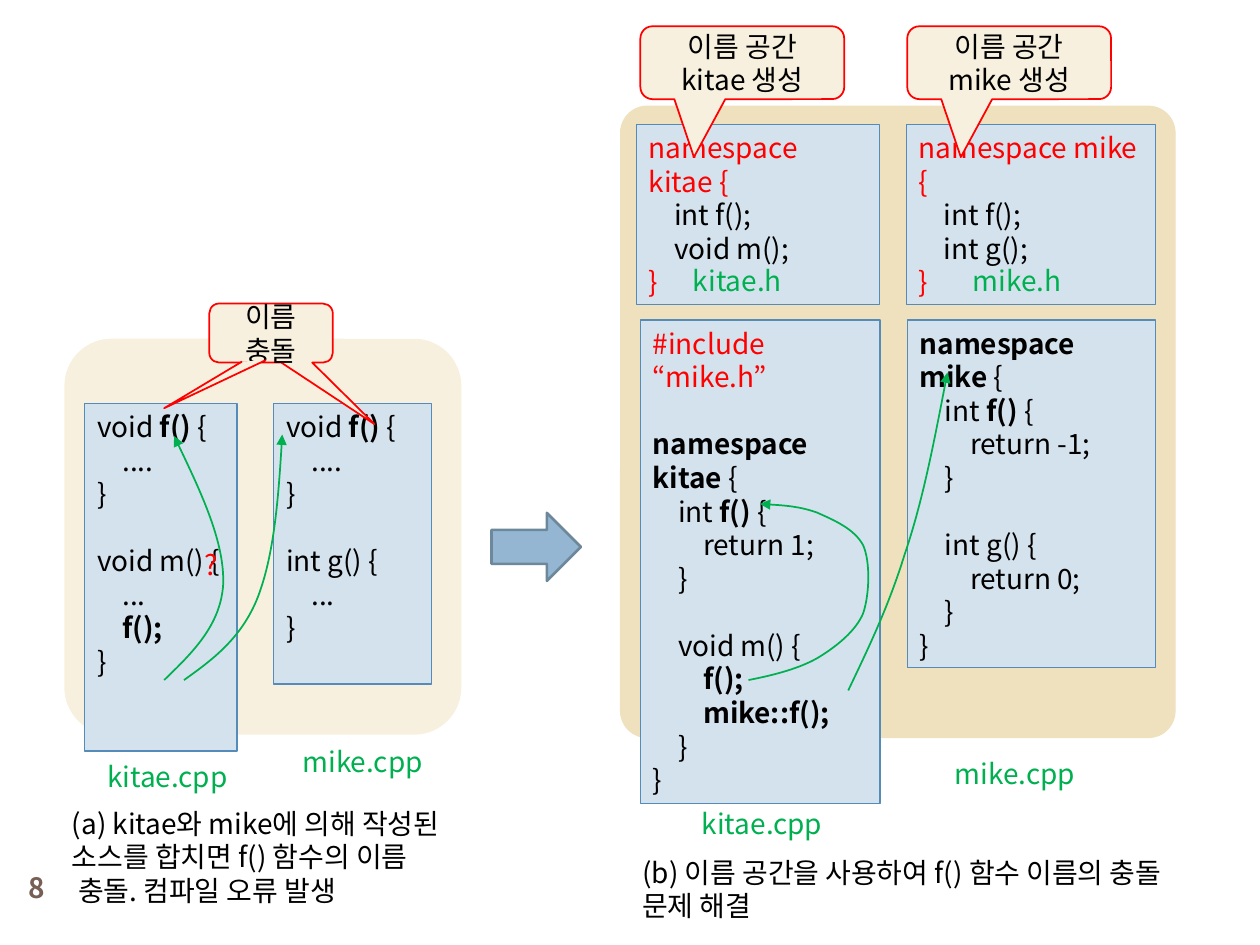
import pptx
import pptx.util
import pptx.dml.color
import pptx.enum.shapes
import pptx.enum.text
import pptx.oxml
import pptx.oxml.ns

Cm, Pt = pptx.util.Cm, pptx.util.Pt
SHAPE = pptx.enum.shapes.MSO_SHAPE
ANCHOR = pptx.enum.text.MSO_ANCHOR
ALIGN = pptx.enum.text.PP_ALIGN
FONT = "Noto Sans CJK KR"
PITCH = 19.2
TAB = 0.51
BLACK, RED, GREEN = "000000", "FF0000", "00B050"
CREAM, SAND, PALE, EDGE = "F7F0DE", "EFE0BE", "D4E2ED", "558BB8"

# In code, * switches bold, a leading ! makes a line red,
# and a leading ^ leaves one line of space above it.
LEFT_KITAE = ["void *f() *{", "\t....", "}", "^void m() {", "\t...", "\t*f();", "}"]
LEFT_MIKE = ["void *f() *{", "\t....", "}", "^int g() {", "\t...", "}"]
KITAE_H = ["!namespace kitae {", "\tint f();", "\tvoid m();", "!}"]
MIKE_H = ["!namespace mike {", "\tint f();", "\tint g();", "!}"]
KITAE_CPP = ["!#include “mike.h”", "^*namespace kitae *{", "\tint *f() *{",
             "\t\treturn 1;", "\t}", "^\tvoid m() {", "\t\t*f();",
             "\t\t*mike::f();", "\t}", "}"]
MIKE_CPP = ["*namespace mike *{", "\tint *f() *{", "\t\treturn -1;", "\t}",
            "^\tint g() {", "\t\treturn 0;", "\t}", "}"]


def color(code):
    return pptx.dml.color.RGBColor.from_string(code)


def style(shape, fill=None, line=None, width=1):
    shape.shadow.inherit = False
    if fill:
        shape.fill.solid()
        shape.fill.fore_color.rgb = color(fill)
    else:
        shape.fill.background()
    if line:
        shape.line.color.rgb = color(line)
        shape.line.width = Pt(width)
    else:
        shape.line.fill.background()


def place(slide, kind, box, fill, line=None, width=1, adjust=()):
    shape = slide.shapes.add_shape(kind, *map(Cm, box))
    style(shape, fill, line, width)
    for i, value in enumerate(adjust):
        shape.adjustments[i] = value
    return shape


def shift(base, box):
    """Move a box or point from panel to slide coordinates."""
    return (base[0] + box[0], base[1] + box[1], *box[2:])


def write(shape, lines, tint=BLACK, align=ALIGN.LEFT, anchor=ANCHOR.TOP, wrap=True):
    frame = shape.text_frame
    frame.word_wrap = wrap
    frame.vertical_anchor = anchor
    for i, line in enumerate(lines):
        para = frame.add_paragraph() if i else frame.paragraphs[0]
        para.alignment = align
        para.line_spacing = Pt(PITCH)
        if line.startswith("^"):
            para.space_before = Pt(PITCH)
        if "\t" in line:
            stops = pptx.oxml.ns.nsdecls("a")
            marks = "".join(f'<a:tab pos="{Cm(TAB * n)}" algn="l"/>' for n in (1, 2))
            para._p.get_or_add_pPr().append(
                pptx.oxml.parse_xml(f"<a:tabLst {stops}>{marks}</a:tabLst>"))
        shade = RED if line.startswith("!") else tint
        for n, part in enumerate(line.lstrip("^!").split("*")):
            if part:
                run = para.add_run()
                run.text = part
                font(run, shade, n % 2 == 1)


def font(run, tint, bold):
    run.font.name = FONT
    run.font.size = Pt(16)
    run.font.bold = bold
    run.font.color.rgb = color(tint)
    east = pptx.oxml.parse_xml(
        f'<a:ea {pptx.oxml.ns.nsdecls("a")} typeface="{FONT}"/>')
    run.font._element.append(east)


def text(slide, box, lines, **look):
    shape = slide.shapes.add_textbox(*map(Cm, box))
    write(shape, lines, **look)
    return shape


def label(slide, base, x, y, name, tint=GREEN, width=3.34):
    text(slide, shift(base, (x, y, width, 0.94)), [name], tint=tint, wrap=False)


def code(slide, base, box, lines):
    shape = place(slide, SHAPE.RECTANGLE, shift(base, box), PALE, EDGE, 0.75)
    write(shape, lines)


def balloon(slide, base, box, words, adjust):
    shape = place(slide, SHAPE.ROUNDED_RECTANGULAR_CALLOUT, shift(base, box),
                  CREAM, RED, 1, adjust)
    write(shape, [words], align=ALIGN.CENTER, anchor=ANCHOR.MIDDLE)


def outline(slide, base, points):
    spots = [tuple(map(Cm, shift(base, p))) for p in points]
    builder = slide.shapes.build_freeform(*spots[0], scale=1.0)
    builder.add_line_segments(spots[1:], close=False)
    return builder.convert_to_shape()


def curve(slide, base, points):
    """Draw an arrow through Bezier points: a start, then threes."""
    shape = outline(slide, base, points)
    style(shape, None, GREEN)
    qn = pptx.oxml.ns.qn
    track = next(shape._element.iter(qn("a:path")))
    steps = track.findall(qn("a:lnTo"))
    for i in range(0, len(steps), 3):
        bend = pptx.oxml.parse_xml(
            f'<a:cubicBezTo {pptx.oxml.ns.nsdecls("a")}/>')
        for step in steps[i:i + 3]:
            bend.append(step[0])
            track.remove(step)
        track.append(bend)
    shape.line._get_or_add_ln().append(pptx.oxml.parse_xml(
        f'<a:tailEnd {pptx.oxml.ns.nsdecls("a")} type="triangle"/>'))


def clash(slide, box):
    """Left panel: two sources whose names collide."""
    place(slide, SHAPE.ROUNDED_RECTANGLE, box, CREAM, adjust=[0.119])
    code(slide, box, (0.41, 1.3, 3.07, 7.01), LEFT_KITAE)
    code(slide, box, (4.22, 1.3, 3.18, 5.66), LEFT_MIKE)
    label(slide, box, 0.61, 8.36, "kitae.cpp")
    label(slide, box, 4.55, 8.05, "mike.cpp")
    curve(slide, box, [(2.01, 6.88), (2.59, 6.32), (3.15, 5.77), (3.2, 4.95),
                       (3.23, 4.11), (2.72, 3.02), (2.21, 1.96)])
    curve(slide, box, [(2.41, 6.88), (2.97, 6.48), (3.56, 6.05), (3.89, 5.23),
                       (4.22, 4.39), (4.32, 3.15), (4.39, 1.93)])
    label(slide, box, 2.57, 4.09, "?", RED, 0.91)
    balloon(slide, box, (2.92, -0.71, 2.49, 1.19), "이름 충돌", (0.838, 1.544, 0.167))
    tail = outline(slide, box, [(3.58, 0.46), (2.01, 1.4), (4.06, 0.43)])
    style(tail, CREAM, RED)
    text(slide, shift(box, (-0.1, 9.3, 9.5, 2.29)),
         ["(a) kitae와 mike에 의해 작성된 소스를 합치면 f() 함수의 이름",
          " 충돌. 컴파일 오류 발생"])


def solve(slide, box):
    """Right panel: the same sources kept apart by namespaces."""
    place(slide, SHAPE.ROUNDED_RECTANGLE, box, SAND, adjust=[0.049])
    code(slide, box, (0.41, 4.32, 4.83, 9.75), KITAE_CPP)
    code(slide, box, (5.79, 4.32, 5, 7.01), MIKE_CPP)
    code(slide, box, (0.33, 0.38, 4.9, 3.63), KITAE_H)
    code(slide, box, (5.77, 0.38, 5.03, 3.63), MIKE_H)
    label(slide, box, 1.4, 14, "kitae.cpp")
    label(slide, box, 6.5, 13, "mike.cpp")
    label(slide, box, 1.22, 3.05, "kitae.h", width=2.64)
    label(slide, box, 6.86, 3.05, "mike.h", width=2.59)
    for x, name in ((0.41, "kitae"), (5.79, "mike")):
        balloon(slide, box, (x, -1.6, 4.11, 1.47), f"이름 공간 {name} 생성",
                (-0.237, 1.295, 0.167))
    curve(slide, box, [(4.6, 11.79), (5, 10.95), (5.41, 10.11), (5.74, 9.04),
                       (6.1, 7.98), (6.35, 6.68), (6.6, 5.38)])
    curve(slide, box, [(2.59, 11.58), (3.1, 11.48), (3.61, 11.35), (3.99, 11.13),
                       (4.37, 10.9), (4.75, 10.59), (4.9, 10.24), (5.03, 9.86),
                       (5.05, 9.19), (4.9, 8.86), (4.72, 8.53), (4.32, 8.36),
                       (3.96, 8.2), (3.61, 8.08), (3.23, 8.05), (2.82, 8.03)])
    text(slide, shift(box, (0.2, 14.99, 11.61, 1.6)),
         ["(b) 이름 공간을 사용하여 f() 함수 이름의 충돌 문제 해결"])


def main():
    deck = pptx.Presentation()
    deck.slide_width, deck.slide_height = Cm(25.4), Cm(19.05)
    slide = deck.slides.add_slide(deck.slide_layouts[6])
    clash(slide, (1.3, 6.83, 8, 7.98))
    solve(slide, (12.5, 2.13, 11.2, 12.75))
    place(slide, SHAPE.RIGHT_ARROW, (9.91, 10.34, 1.8, 1.37), "94B6D2", "6D879B", 1.5)
    text(slide, (0, 17.35, 1.47, 1.07), ["*8"], tint="775F55",
         align=ALIGN.CENTER, anchor=ANCHOR.MIDDLE)
    deck.save("out.pptx")


if __name__ == "__main__":
    main()
